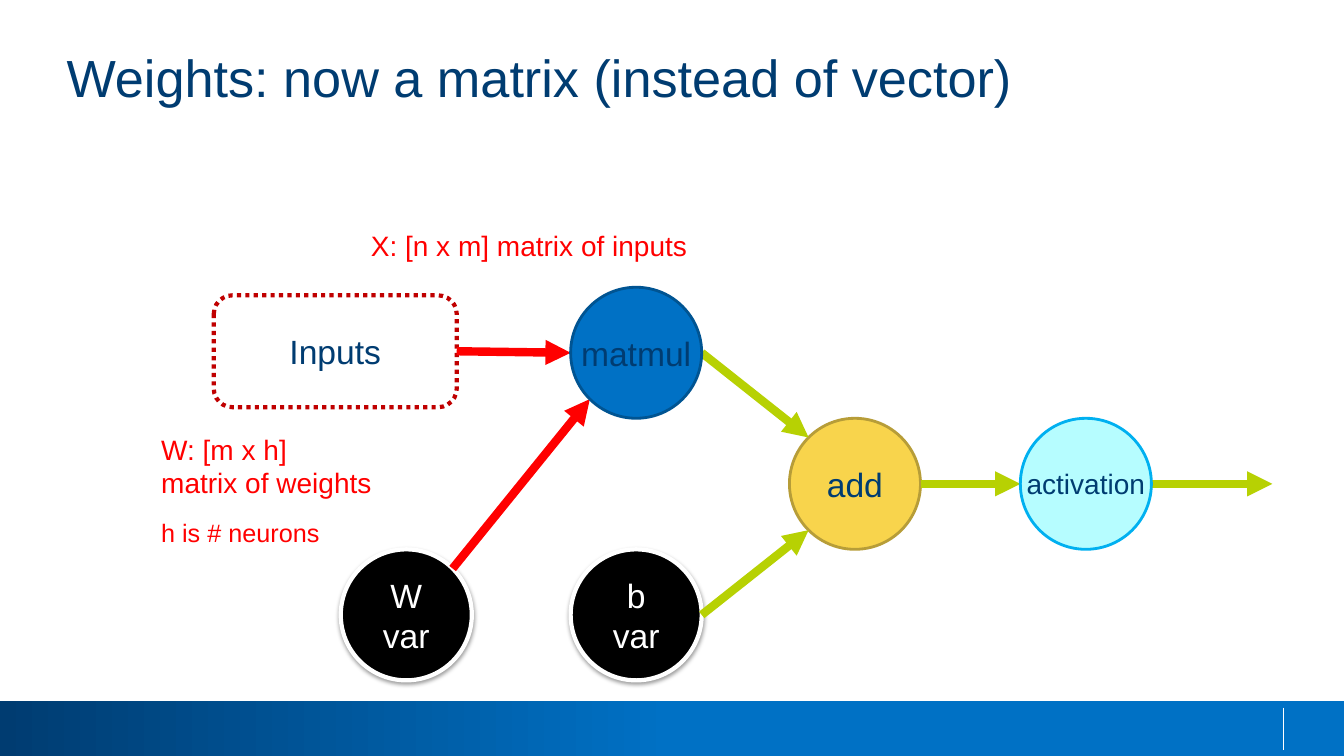
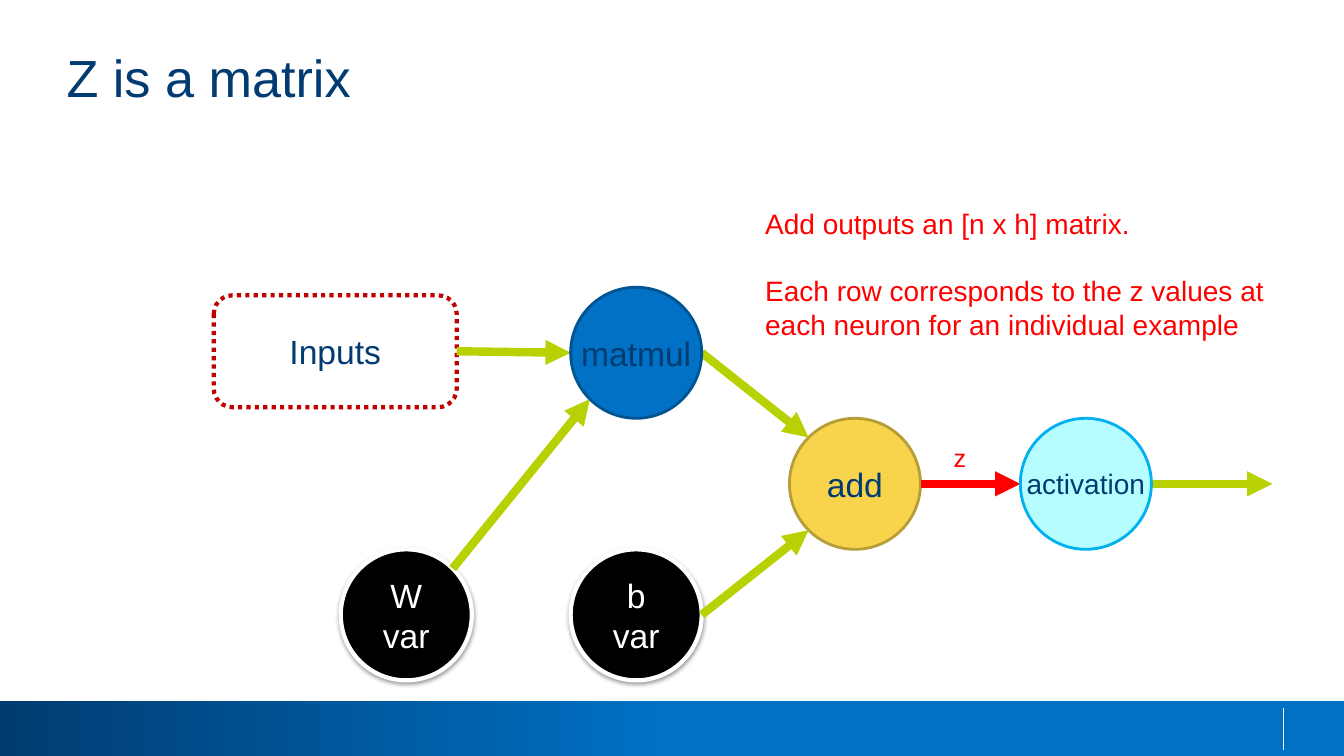
import math
from dataclasses import dataclass

from lxml import etree
from pptx import Presentation
from pptx import util as u
from pptx.dml import color
from pptx.enum import dml, shapes, text
from pptx.oxml import ns


@dataclass(frozen=True)
class Theme:
    font: str = "Arial"
    navy: str = "003C71"
    blue: str = "0071C5"
    white: str = "FFFFFF"
    black: str = "000000"
    red: str = "FF0000"
    green: str = "B7D103"
    title_size: float = 37.3
    node_size: float = 24
    note_size: float = 20
    small_size: float = 18
    arrow_width: float = 6


THEME = Theme()
RADIUS = 0.65


@dataclass(frozen=True)
class Node:
    label: str
    x: float
    y: float
    fill: str
    outline: str
    outline_width: float = 2
    ink: str = THEME.navy
    size: float = THEME.node_size
    shadow: bool = False

    def rim(self, degrees: float) -> tuple[float, float]:
        """Point on the circle, counted clockwise from the right."""
        angle = math.radians(degrees)
        return self.x + RADIUS * math.cos(angle), self.y + RADIUS * math.sin(angle)


@dataclass(frozen=True)
class Arrow:
    name: str
    start: tuple[float, float]
    end: tuple[float, float]


@dataclass(frozen=True)
class Note:
    text: str
    left: float
    top: float
    width: float
    height: float
    size: float = THEME.note_size
    gap_before: tuple[int, ...] = ()


@dataclass(frozen=True)
class Lesson:
    title: str
    red_arrows: tuple[str, ...]
    notes: tuple[Note, ...]


def variable(name: str, x: float) -> Node:
    return Node(f"{name}\nvar", x, 6.1, THEME.black, THEME.white, 3, THEME.white, shadow=True)


WEIGHTS = variable("W", 4.03)
BIAS = variable("b", 6.31)
MATMUL = Node("matmul", 6.31, 3.5, THEME.blue, "005492")
ADD = Node("add", 8.48, 4.8, "F8D44C", "B79D38")
ACTIVATION = Node("activation", 10.77, 4.8, "B6FDFF", "00B0F0", size=20)

INPUTS_BOX = (2.12, 2.93, 2.41, 1.11)
INPUTS_ARROW = Arrow("inputs", (4.53, 3.48), MATMUL.rim(180))
ARROWS = (
    Arrow("weights", WEIGHTS.rim(-45), MATMUL.rim(135)),
    Arrow("product", MATMUL.rim(0), ADD.rim(225)),
    Arrow("bias", BIAS.rim(0), ADD.rim(135)),
    Arrow("sum", ADD.rim(0), ACTIVATION.rim(180)),
    Arrow("output", ACTIVATION.rim(0), (12.62, 4.8)),
)

LESSONS = (
    Lesson(
        "Weights: now a matrix (instead of vector)",
        ("inputs", "weights"),
        (
            Note("X: [n x m] matrix of inputs", 3.58, 2.22, 3.5, 0.44),
            Note("W: [m x h]\nmatrix of weights", 1.5, 4.24, 2.48, 0.77),
            Note("h is # neurons", 1.5, 5.08, 2.07, 0.4, THEME.small_size),
        ),
    ),
    Lesson(
        "Z is a matrix",
        ("sum",),
        (
            Note(
                "Add outputs an [n x h] matrix.\n"
                "Each row corresponds to the z values at\n"
                "each neuron for an individual example",
                7.49, 2, 5.39, 1.45, gap_before=(1,),
            ),
            Note("z", 9.36, 4.34, 0.32, 0.4, THEME.small_size),
        ),
    ),
)


def rgb(value: str) -> color.RGBColor:
    return color.RGBColor.from_string(value)


def inches(*values: float) -> list[u.Length]:
    return [u.Inches(value) for value in values]


def write(frame, words: str, size: float, ink: str, align=text.PP_ALIGN.LEFT) -> None:
    frame.text = words
    for para in frame.paragraphs:
        para.alignment = align
        for span in para.runs:
            span.font.name = THEME.font
            span.font.size = u.Pt(size)
            span.font.color.rgb = rgb(ink)


def add_outlined(page, kind, box, fill: str | None, outline: str, width: float):
    shape = page.shapes.add_shape(kind, *inches(*box))
    shape.shadow.inherit = False
    if fill:
        shape.fill.solid()
        shape.fill.fore_color.rgb = rgb(fill)
    else:
        shape.fill.background()
    shape.line.color.rgb = rgb(outline)
    shape.line.width = u.Pt(width)
    return shape


def write_label(shape, words: str, size: float, ink: str, wrap: bool) -> None:
    frame = shape.text_frame
    frame.word_wrap = wrap
    frame.vertical_anchor = text.MSO_ANCHOR.MIDDLE
    write(frame, words, size, ink, text.PP_ALIGN.CENTER)


def add_shadow(shape) -> None:
    effects = shape.element.spPr.find(ns.qn("a:effectLst"))
    shadow = etree.SubElement(
        effects, ns.qn("a:outerShdw"),
        blurRad=str(u.Pt(3.1)), dist=str(u.Pt(1.6)), dir="5400000", rotWithShape="0",
    )
    tint = etree.SubElement(shadow, ns.qn("a:srgbClr"), val=THEME.black)
    etree.SubElement(tint, ns.qn("a:alpha"), val="38000")


def add_node(page, node: Node) -> None:
    box = (node.x - RADIUS, node.y - RADIUS, 2 * RADIUS, 2 * RADIUS)
    circle = add_outlined(
        page, shapes.MSO_SHAPE.OVAL, box, node.fill, node.outline, node.outline_width
    )
    if node.shadow:
        add_shadow(circle)
    write_label(circle, node.label, node.size, node.ink, wrap=False)


def add_inputs(page):
    box = add_outlined(page, shapes.MSO_SHAPE.ROUNDED_RECTANGLE, INPUTS_BOX, None, "C00000", 3)
    box.line.dash_style = dml.MSO_LINE.ROUND_DOT
    write_label(box, "Inputs", THEME.node_size, THEME.navy, wrap=True)
    return box


def add_line(page, start, end, ink: str, width: float):
    line = page.shapes.add_connector(shapes.MSO_CONNECTOR.STRAIGHT, *inches(*start, *end))
    line.line.color.rgb = rgb(ink)
    line.line.width = u.Pt(width)
    etree.SubElement(line.element.spPr, ns.qn("a:effectLst"))
    return line


def add_arrow(page, arrow: Arrow, red_arrows: tuple[str, ...]):
    ink = THEME.red if arrow.name in red_arrows else THEME.green
    line = add_line(page, arrow.start, arrow.end, ink, THEME.arrow_width)
    outline = line.element.spPr.find(ns.qn("a:ln"))
    etree.SubElement(outline, ns.qn("a:tailEnd"), type="triangle")
    return line


def add_note(page, note: Note) -> None:
    box = page.shapes.add_textbox(*inches(note.left, note.top, note.width, note.height))
    frame = box.text_frame
    frame.word_wrap = False
    frame.auto_size = text.MSO_AUTO_SIZE.SHAPE_TO_FIT_TEXT
    write(frame, note.text, note.size, THEME.red)
    for index in note.gap_before:
        frame.paragraphs[index].space_before = u.Pt(24)


def add_diagram(page, red_arrows: tuple[str, ...]) -> None:
    for node in (WEIGHTS, BIAS, ADD):
        add_node(page, node)
    inputs = add_inputs(page)
    add_arrow(page, INPUTS_ARROW, red_arrows).begin_connect(inputs, 3)
    for arrow in ARROWS:
        add_arrow(page, arrow, red_arrows)
    for node in (MATMUL, ACTIVATION):
        add_node(page, node)


def move_footer_to_layout(page, layout) -> None:
    """Draw the footer band on a page, then hand it to the shared layout."""
    band = page.shapes.add_shape(shapes.MSO_SHAPE.RECTANGLE, *inches(0, 6.95, 13.33, 0.56))
    band.shadow.inherit = False
    band.line.fill.background()
    band.fill.gradient()
    band.fill.gradient_angle = 0
    for stop, ink, position in zip(band.fill.gradient_stops, (THEME.navy, THEME.blue), (0, 0.5)):
        stop.color.rgb = rgb(ink)
        stop.position = position
    divider = add_line(page, (12.73, 7.02), (12.73, 7.44), THEME.white, 0.75)
    for part in (band, divider):
        layout.shapes.element.append(part.element)


def write_title(page, words: str) -> None:
    title = page.shapes.title
    title.left, title.top, title.width, title.height = inches(0.66, 0.45, 12, 1.27)
    frame = title.text_frame
    frame.margin_left = frame.margin_top = frame.margin_right = frame.margin_bottom = 0
    frame.vertical_anchor = text.MSO_ANCHOR.TOP
    write(frame, words, THEME.title_size, THEME.navy)


def main() -> None:
    deck = Presentation()
    deck.slide_width, deck.slide_height = inches(13.33, 7.5)
    layout = deck.slide_layouts[5]
    pages = [deck.slides.add_slide(layout) for _ in LESSONS]
    move_footer_to_layout(pages[0], layout)
    for page, lesson in zip(pages, LESSONS):
        write_title(page, lesson.title)
        add_diagram(page, lesson.red_arrows)
        for note in lesson.notes:
            add_note(page, note)
    deck.save("out.pptx")


if __name__ == "__main__":
    main()
